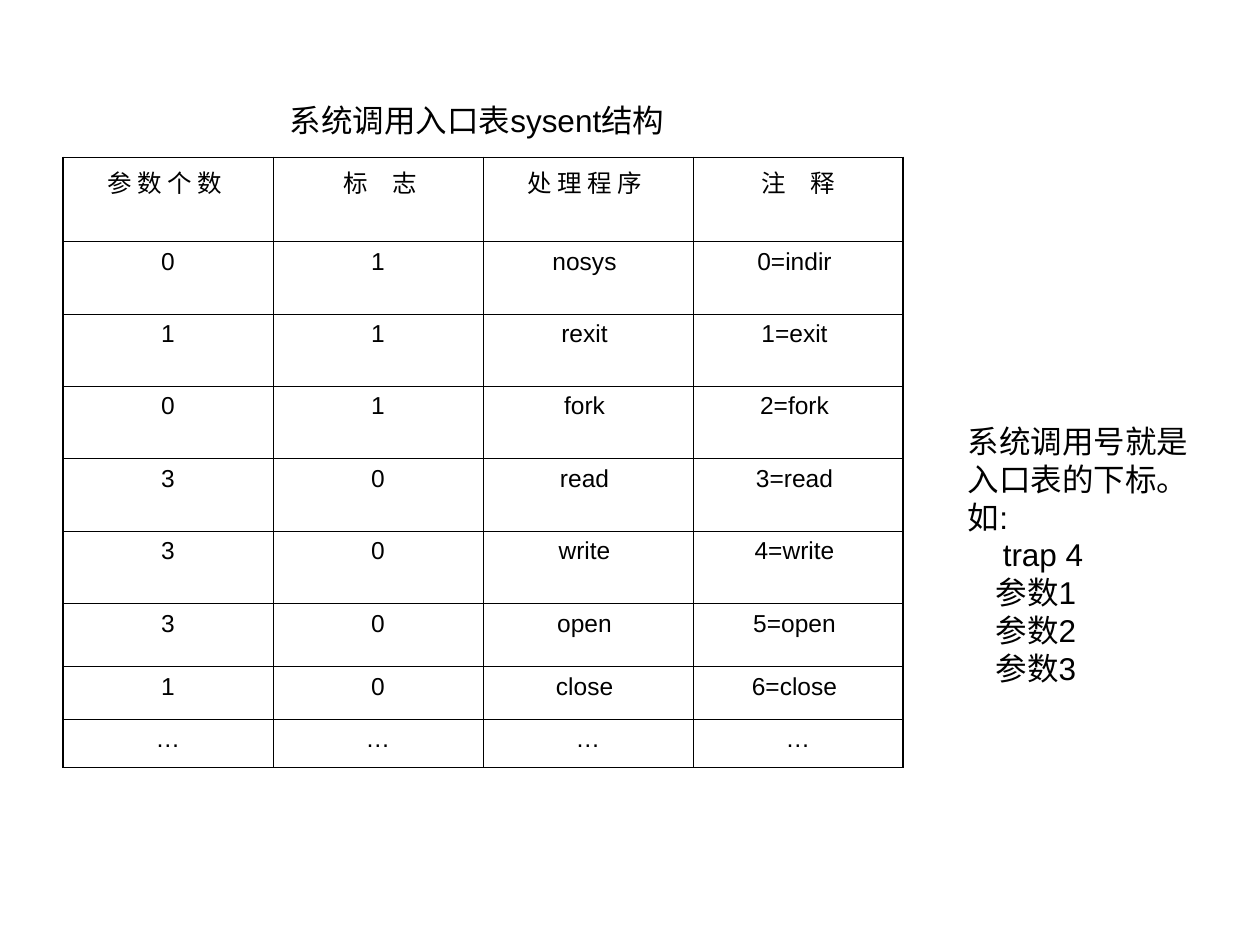
from lxml import etree
from pptx import Presentation
from pptx import util as u
from pptx.dml.color import RGBColor
from pptx.enum import text
from pptx.oxml.ns import qn

COLORS = {"ink": "000000", "paper": "FFFFFF"}
ROWS = [
    ("参 数 个 数 ", " 标　志", "处 理 程 序 ", " 注　释 "),
    ("0", "1", "nosys ", "0=indir "),
    ("1", "1", "rexit ", "1=exit "),
    ("0", "1", "fork ", "2=fork "),
    ("3", "0", "read ", "3=read "),
    ("3", "0", "write ", "4=write "),
    ("3", "0", "open ", "5=open "),
    ("1", "0", "close ", "6=close "),
    ("…", "…", "…", "…"),
]
ROW_HEIGHTS = [48] + [41.4] * 5 + [36, 30, 27.6]
COLUMN_WIDTH = 120
# Each line of the side note with its indent
NOTE = [
    ("系统调用号就是入口表的下标。如:", 0),
    ("trap 4", 20),
    ("参数1", 16),
    ("参数2", 16),
    ("参数3", 16),
]


class Slide:
    """Holds the style and the current page."""

    font = "Arial"
    text_size, table_size = 18, 14
    outer_line, inner_line = 1.08, 0.45

    def __init__(self, deck):
        self.page = deck.slides.add_slide(deck.slide_layouts[1])
        fill = self.page.background.fill
        fill.solid()
        fill.fore_color.rgb = RGBColor.from_string(COLORS["paper"])

    def style(self, paragraph, size, align, before=0):
        paragraph.alignment = align
        paragraph.space_before = u.Pt(before)
        paragraph.font.name = self.font
        paragraph.font.size = u.Pt(size)
        paragraph.font.color.rgb = RGBColor.from_string(COLORS["ink"])

    def placeholder(self, index, area, lines, wrap):
        box = self.page.placeholders[index]
        box.left, box.top, box.width, box.height = map(u.Pt, area)
        frame = box.text_frame
        frame.word_wrap = wrap
        frame.auto_size = text.MSO_AUTO_SIZE.SHAPE_TO_FIT_TEXT
        frame.vertical_anchor = text.MSO_ANCHOR.MIDDLE
        frame.text = "\n".join(line for line, _ in lines)
        for paragraph, (_, indent) in zip(frame.paragraphs, lines):
            self.style(paragraph, self.text_size, text.PP_ALIGN.LEFT)
            properties = paragraph._p.get_or_add_pPr()
            properties.set("marL", str(u.Pt(indent)))
            properties.set("indent", "0")
            bullet = etree.Element(qn("a:buNone"))
            properties.find(qn("a:spcBef")).addnext(bullet)

    def borders(self, cell, outer_sides):
        properties = cell._tc.get_or_add_tcPr()
        for position, side in enumerate("LRTB"):
            width = self.outer_line if side in outer_sides else self.inner_line
            line = etree.Element(qn("a:ln" + side), w=str(u.Pt(width)))
            fill = etree.SubElement(line, qn("a:solidFill"))
            etree.SubElement(fill, qn("a:srgbClr"), val=COLORS["ink"])
            properties.insert(position, line)

    def table(self, left, top, rows, column_width, row_heights):
        count = len(rows[0])
        table = self.page.shapes.add_table(
            len(rows), count, u.Pt(left), u.Pt(top),
            u.Pt(column_width * count), u.Pt(sum(row_heights))).table
        table.first_row = table.horz_banding = False
        for column in table.columns:
            column.width = u.Pt(column_width)
        for r, (values, height) in enumerate(zip(rows, row_heights)):
            table.rows[r].height = u.Pt(height)
            for c, value in enumerate(values):
                cell = table.cell(r, c)
                cell.text = value
                cell.fill.background()
                self.style(cell.text_frame.paragraphs[0], self.table_size,
                           text.PP_ALIGN.CENTER, before=3.5)
                edges = {"L": c == 0, "R": c == count - 1,
                         "T": r == 0, "B": r == len(rows) - 1}
                self.borders(cell, [side for side in edges if edges[side]])


def main():
    deck = Presentation()
    deck.slide_width, deck.slide_height = u.Pt(720), u.Pt(540)
    slide = Slide(deck)

    # System call entry table
    slide.table(36, 90, ROWS, COLUMN_WIDTH, ROW_HEIGHTS)

    # Title above the table
    slide.placeholder(0, (158.4, 54, 241.2, 28.8),
                      [("系统调用入口表sysent结构", 0)], wrap=False)

    # Note on the right
    slide.placeholder(1, (545.8, 237.6, 156.2, 158.4), NOTE, wrap=True)

    deck.save("out.pptx")


if __name__ == "__main__":
    main()
